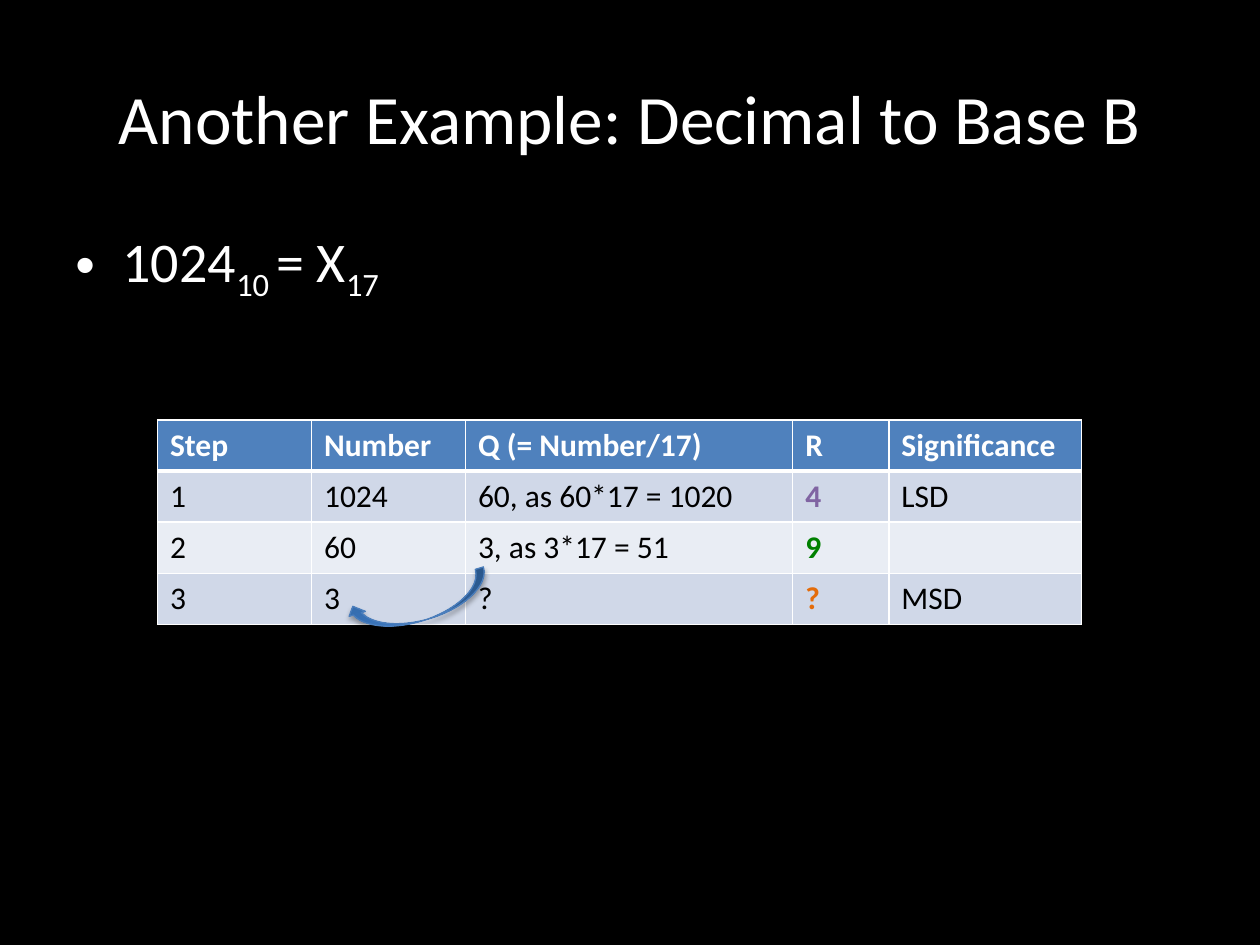
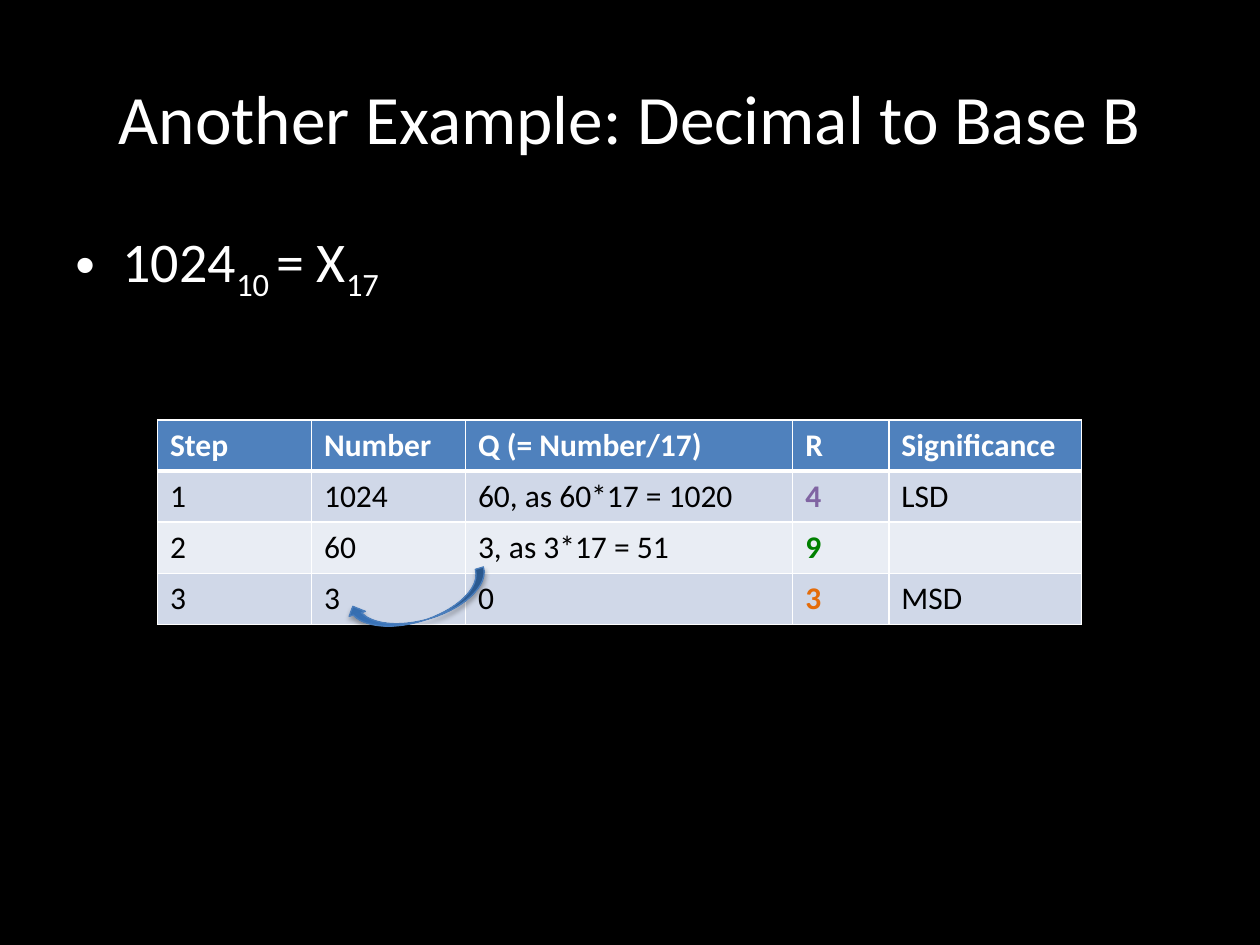
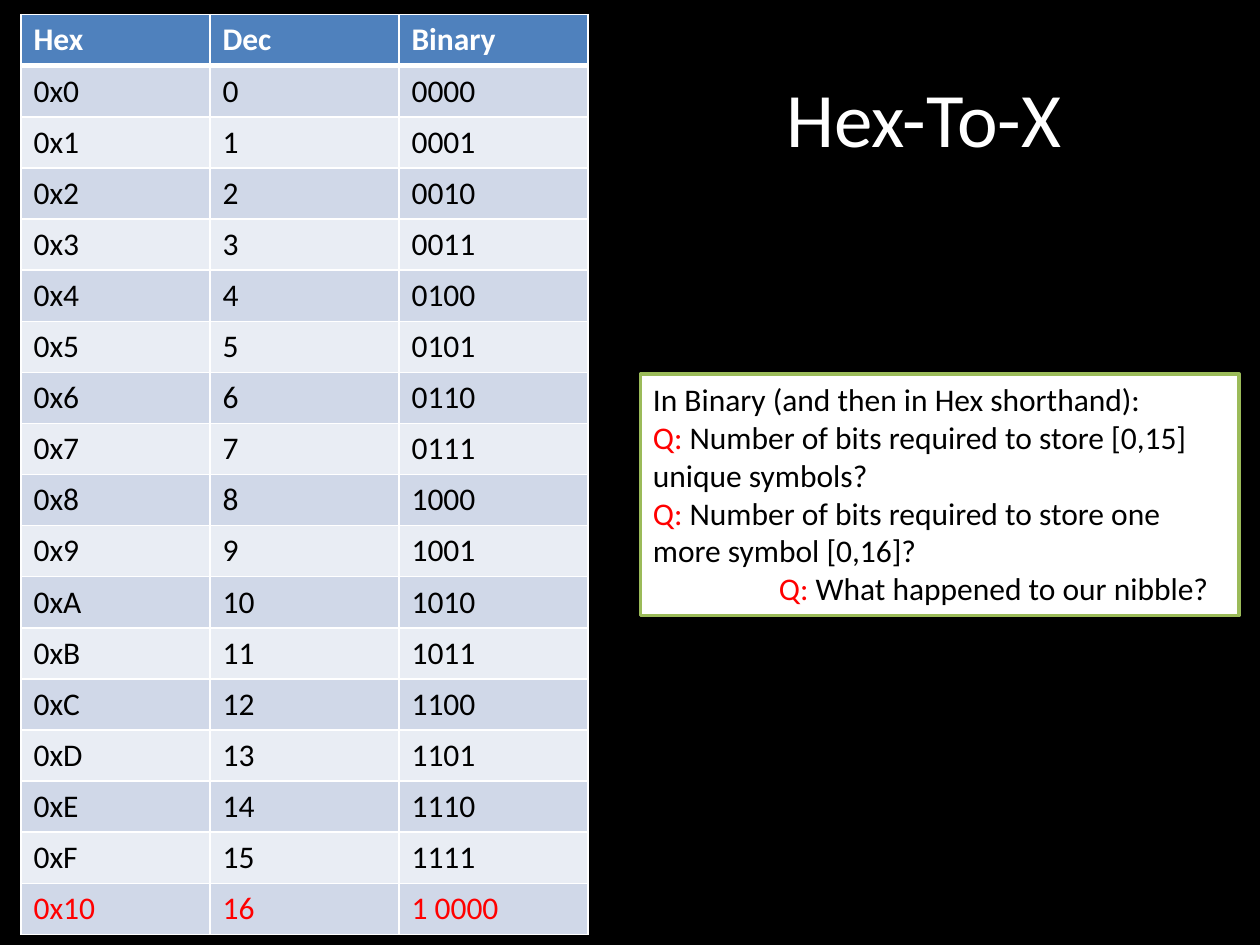
from lxml import etree
from pptx import Presentation
from pptx.dml.color import RGBColor
from pptx.enum.shapes import MSO_SHAPE as SHAPE
from pptx.enum.text import MSO_ANCHOR as ANCHOR, PP_ALIGN as ALIGN
from pptx.oxml import parse_xml
from pptx.oxml.ns import nsdecls, qn
from pptx.util import Pt

FONT = "Calibri"
BLACK, WHITE, RED = "000000", "FFFFFF", "FF0000"
PURPLE, GREEN, ORANGE = "8064A2", "008000", "E46C0A"
HEADER, BANDS, BOX_LINE = "4F81BD", ("D0D8E8", "E9EDF4"), "9BBB59"
ROW_H = 29.2

DIVISION_TITLE = "Another Example: Decimal to Base B"
EQUATION = [("1024", False), ("10 ", True), ("= X", False), ("17", True)]
DIVISION_HEAD = ["Step", "Number", "Q (= Number/17)", "R", "Significance"]
DIVISION_ROWS = [
    ["1", "1024", "60, as 60*17 = 1020", "4", "LSD"],
    ["2", "60", "3, as 3*17 = 51", "9", ""],
]
LAST_STEPS = [["3", "3", "?", "?", "MSD"], ["3", "3", "0", "3", "MSD"]]
DIVISION_COLS = [88, 88, 187, 55, 110]
REMAINDER_COL = 3
REMAINDER_COLORS = [PURPLE, GREEN, ORANGE]

HEX_HEAD = ["Hex", "Dec", "Binary"]
HEX_ROWS = [[f"0x{n:X}", str(n), f"{n:04b}"] for n in range(16)]
HEX_ROWS.append(["0x10", "16", "1 0000"])
HEX_COLS = [108] * 3

# (question?, text, left indent)
QUESTIONS = [
    (False, "In Binary (and then in Hex shorthand):", 0),
    (True, " Number of bits required to store [0,15] unique symbols?", 0),
    (True, " Number of bits required to store one more symbol [0,16]?", 0),
    (True, " What happened to our nibble?", 72),
]

ARROW_FILL = f"""<a:gradFill {nsdecls("a")} rotWithShape="1"><a:gsLst>
<a:gs pos="0"><a:srgbClr val="2F5F99"/></a:gs>
<a:gs pos="80000"><a:srgbClr val="3D7CC7"/></a:gs>
<a:gs pos="100000"><a:srgbClr val="3A7CCB"/></a:gs>
</a:gsLst><a:lin ang="16200000" scaled="0"/></a:gradFill>"""
ARROW_SHADOW = f"""<a:effectLst {nsdecls("a")}>
<a:outerShdw blurRad="{Pt(3.1)}" dist="{Pt(1.8)}" dir="5400000" rotWithShape="0">
<a:srgbClr val="000000"><a:alpha val="35000"/></a:srgbClr>
</a:outerShdw></a:effectLst>"""


def rgb(color):
    return RGBColor.from_string(color)


def add_run(p, text, size, color, bold=False):
    r = p.add_run()
    r.text = text
    r.font.name, r.font.size, r.font.bold = FONT, Pt(size), bold
    r.font.color.rgb = rgb(color)
    return r


def add_text_box(s, left, top, width, height):
    tf = s.shapes.add_textbox(Pt(left), Pt(top), Pt(width), Pt(height)).text_frame
    tf.word_wrap = True
    return tf


def add_slide(prs, title, left, width, size):
    """Add a black slide with a centred white title."""
    s = prs.slides.add_slide(prs.slide_layouts[6])
    s.background.fill.solid()
    s.background.fill.fore_color.rgb = rgb(BLACK)
    tf = add_text_box(s, left, 21.6, width, 90)
    tf.vertical_anchor = ANCHOR.MIDDLE
    p = tf.paragraphs[0]
    p.alignment = ALIGN.CENTER
    add_run(p, title, size, WHITE)
    return s


def set_borders(cell, top, bottom):
    """Give a cell white borders, 1 pt at the sides."""
    tc_pr = cell._tc.get_or_add_tcPr()
    for side, width in (("lnL", 1), ("lnR", 1), ("lnT", top), ("lnB", bottom)):
        ln = etree.SubElement(tc_pr, qn(f"a:{side}"), w=str(Pt(width)))
        fill = etree.SubElement(ln, qn("a:solidFill"))
        etree.SubElement(fill, qn("a:srgbClr"), val=WHITE)


def add_table(s, left, top, cols, head, rows, style):
    """Add a banded table; style(row, col) gives colour and weight of body text."""
    data = [head] + rows
    table = s.shapes.add_table(len(data), len(cols), Pt(left), Pt(top),
                               Pt(sum(cols)), Pt(ROW_H * len(data))).table
    for column, width in zip(table.columns, cols):
        column.width = Pt(width)
    for i, texts in enumerate(data):
        table.rows[i].height = Pt(ROW_H)
        for j, text in enumerate(texts):
            cell = table.cell(i, j)
            set_borders(cell, 3 if i == 1 else 1, 3 if i == 0 else 1)
            cell.fill.solid()
            cell.fill.fore_color.rgb = rgb(BANDS[(i - 1) % 2] if i else HEADER)
            color, bold = style(i - 1, j) if i else (WHITE, True)
            if text:
                add_run(cell.text_frame.paragraphs[0], text, 18, color, bold)


def add_equation(s):
    p = add_text_box(s, 36, 126, 648, 356.4).paragraphs[0]
    p_pr = p._p.get_or_add_pPr()
    p_pr.set("marL", str(Pt(27)))
    p_pr.set("indent", str(Pt(-27)))
    etree.SubElement(p_pr, qn("a:buFont"), typeface="Arial")
    etree.SubElement(p_pr, qn("a:buChar"), char="•")
    for text, subscript in EQUATION:
        r = add_run(p, text, 32, WHITE)
        if subscript:
            r.font._element.set("baseline", "-25000")


def add_carry_arrow(s):
    """Lead the quotient of step 2 to the number of step 3."""
    sp = s.shapes.add_shape(SHAPE.CURVED_DOWN_ARROW, Pt(198), Pt(335.5), Pt(82.8), Pt(19.4))
    sp.rotation = 163.2
    sp.line.color.rgb = rgb("4B7EBC")
    sp.line.width = Pt(0.75)
    sp_pr = sp._element.spPr
    sp_pr.find(qn("a:ln")).addprevious(parse_xml(ARROW_FILL))
    sp_pr.append(parse_xml(ARROW_SHADOW))


def division_style(row, col):
    if col == REMAINDER_COL:
        return REMAINDER_COLORS[row], True
    return BLACK, False


def hex_style(row, col):
    return (RED if row == len(HEX_ROWS) - 1 else BLACK), False


def add_division_slide(prs, last_step):
    s = add_slide(prs, DIVISION_TITLE, 36, 648, 39.6)
    add_equation(s)
    add_table(s, 90, 240, DIVISION_COLS, DIVISION_HEAD,
              DIVISION_ROWS + [last_step], division_style)
    add_carry_arrow(s)


def add_questions(s):
    sp = s.shapes.add_shape(SHAPE.RECTANGLE, Pt(366), Pt(213.8), Pt(342), Pt(138))
    sp.shadow.inherit = False
    sp.fill.solid()
    sp.fill.fore_color.rgb = rgb(WHITE)
    sp.line.color.rgb = rgb(BOX_LINE)
    sp.line.width = Pt(2)
    tf = sp.text_frame
    tf.word_wrap = True
    tf.vertical_anchor = ANCHOR.TOP
    for i, (question, text, indent) in enumerate(QUESTIONS):
        p = tf.add_paragraph() if i else tf.paragraphs[0]
        p.alignment = ALIGN.LEFT
        if indent:
            p._p.get_or_add_pPr().set("marL", str(Pt(indent)))
        if question:
            add_run(p, "Q:", 18, RED)
        add_run(p, text, 18, BLACK)


def add_hex_slide(prs):
    s = add_slide(prs, "Hex-To-X", 372, 312, 44)
    add_table(s, 12, 8.4, HEX_COLS, HEX_HEAD, HEX_ROWS, hex_style)
    add_questions(s)


def main():
    prs = Presentation()
    prs.slide_width, prs.slide_height = Pt(720), Pt(540)
    for last_step in LAST_STEPS:
        add_division_slide(prs, last_step)
    add_hex_slide(prs)
    prs.save("out.pptx")


if __name__ == "__main__":
    main()
